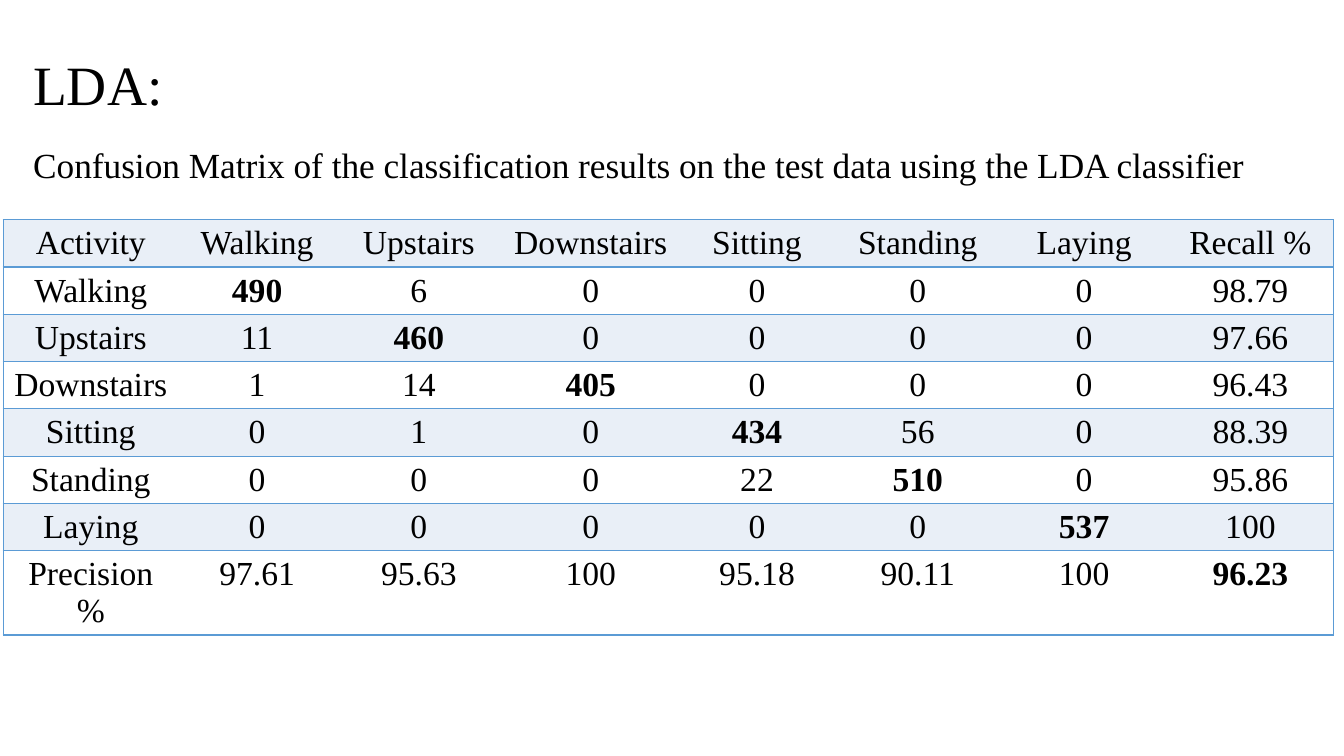
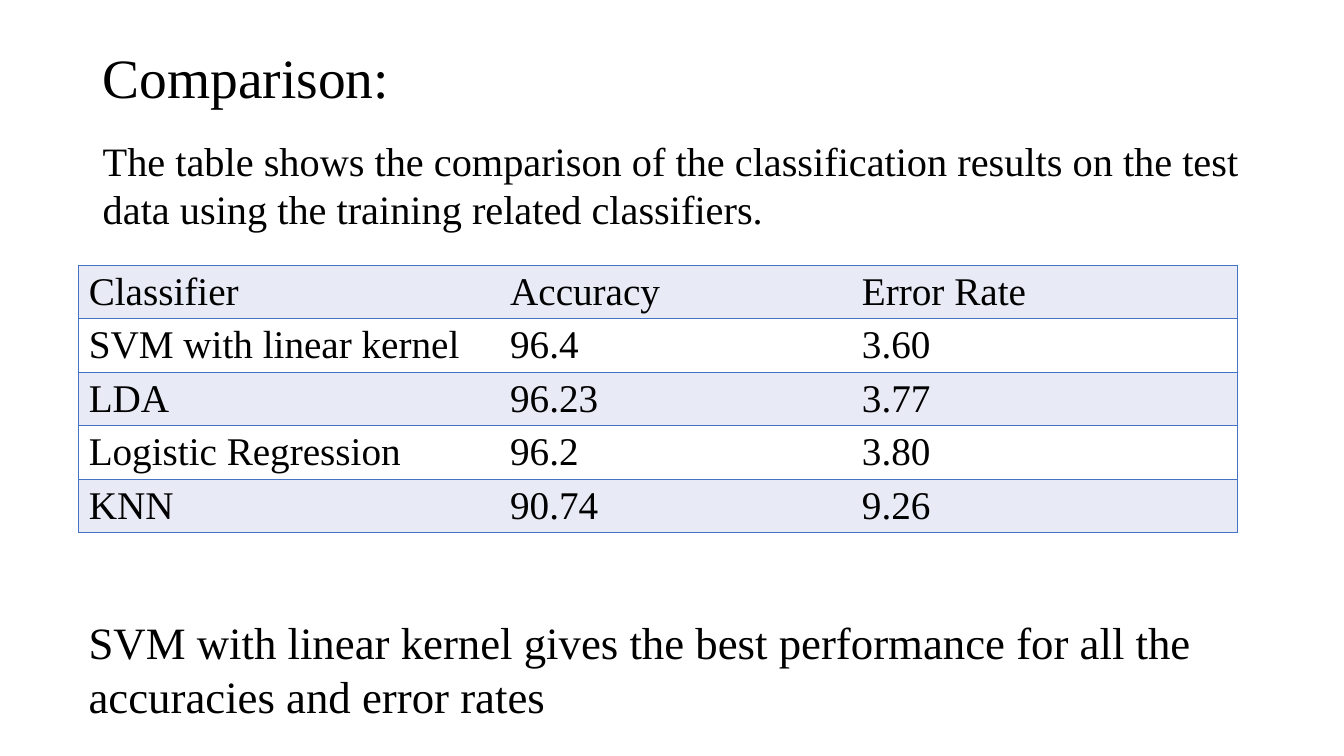
"""Build two slides with classifier results: a confusion matrix and a comparison."""
from dataclasses import dataclass

from lxml import etree
from pptx import Presentation
from pptx import util as u
from pptx.dml.color import RGBColor
from pptx.enum import text
from pptx.oxml import ns


@dataclass(frozen=True)
class Theme:
    """Colours and type sizes shared by the slides."""

    font: str = "Times New Roman"
    ink: str = "000000"
    paper: str = "FFFFFF"
    sky_line: str = "5B9BD5"
    sky_band: str = "E9EFF7"
    indigo_line: str = "4472C4"
    indigo_band: str = "E8EBF5"
    heading: float = 39.6
    matrix_caption: float = 25.2
    comparison_caption: float = 28.8
    matrix_cell: float = 24
    comparison_cell: float = 28
    conclusion: float = 32
    caption_gap: float = 19
    row_height: float = 30.24
    plain_table: str = "{2D5ABB26-0587-4C30-8999-92F81FD0307C}"


class Deck:
    """Hold the theme and the current slide, and add elements to it."""

    def __init__(self, theme):
        """Start a widescreen presentation."""
        self.theme = theme
        self.presentation = Presentation()
        self.presentation.slide_width = u.Pt(960)
        self.presentation.slide_height = u.Pt(540)
        self.slide = None

    def add_slide(self):
        """Make a new title-only slide current."""
        layout = self.presentation.slide_layouts.get_by_name("Title Only")
        self.slide = self.presentation.slides.add_slide(layout)

    def format(self, paragraph, size, bold=False, align=text.PP_ALIGN.LEFT):
        """Give a paragraph its alignment and its runs their font."""
        paragraph.alignment = align
        for run in paragraph.runs:
            run.font.name = self.theme.font
            run.font.size = u.Pt(size)
            run.font.bold = bold
            run.font.color.rgb = RGBColor.from_string(self.theme.ink)

    def title(self, heading, caption, caption_size, left, top, width, height):
        """Fill the title placeholder with a heading and a caption."""
        shape = self.slide.shapes.title
        shape.left, shape.top = u.Pt(left), u.Pt(top)
        shape.width, shape.height = u.Pt(width), u.Pt(height)
        frame = shape.text_frame
        frame.text = f"{heading}\n{caption}"
        frame.auto_size = text.MSO_AUTO_SIZE.NONE
        frame.vertical_anchor = text.MSO_ANCHOR.MIDDLE
        for paragraph, size in zip(frame.paragraphs, (self.theme.heading, caption_size)):
            self.format(paragraph, size)
            paragraph.line_spacing = 1.0
        frame.paragraphs[1].space_before = u.Pt(self.theme.caption_gap)

    def text_box(self, words, size, left, top, width, height):
        """Add a wrapped text box."""
        box = self.slide.shapes.add_textbox(u.Pt(left), u.Pt(top), u.Pt(width), u.Pt(height))
        box.text_frame.word_wrap = True
        box.text_frame.text = words
        self.format(box.text_frame.paragraphs[0], size)

    def border(self, cell, sides, colour):
        """Draw one-point lines on the given sides of a cell."""
        properties = cell._tc.get_or_add_tcPr()
        for position, side in enumerate(sides):
            line = etree.Element(ns.qn(f"a:ln{side}"), w=str(u.Pt(1)))
            fill = etree.SubElement(line, ns.qn("a:solidFill"))
            etree.SubElement(fill, ns.qn("a:srgbClr"), val=colour)
            properties.insert(position, line)

    def table(self, rows, widths, left, top, size, line, band,
              align=text.PP_ALIGN.LEFT, bold_diagonal=False):
        """Add a banded table with horizontal rules and an outer frame."""
        height = self.theme.row_height * len(rows)
        frame = self.slide.shapes.add_table(
            len(rows), len(widths), u.Pt(left), u.Pt(top), u.Pt(sum(widths)), u.Pt(height))
        table = frame.table
        table._tbl.tblPr.find(ns.qn("a:tableStyleId")).text = self.theme.plain_table
        for column, width in zip(table.columns, widths):
            column.width = u.Pt(width)
        last = len(widths) - 1
        for row_index, values in enumerate(rows):
            fill = self.theme.paper if row_index % 2 else band
            for column_index, value in enumerate(values):
                cell = table.cell(row_index, column_index)
                cell.text = value
                cell.fill.solid()
                cell.fill.fore_color.rgb = RGBColor.from_string(fill)
                bold = bold_diagonal and row_index == column_index > 0
                self.format(cell.text_frame.paragraphs[0], size, bold, align)
                sides = "L" * (column_index == 0) + "R" * (column_index == last) + "TB"
                self.border(cell, sides, line)


def confusion_matrix(deck):
    """Build the LDA confusion matrix slide."""
    theme = deck.theme
    activities = ["Walking", "Upstairs", "Downstairs", "Sitting", "Standing", "Laying"]
    results = [
        "490 6 0 0 0 0 98.79",
        "11 460 0 0 0 0 97.66",
        "1 14 405 0 0 0 96.43",
        "0 1 0 434 56 0 88.39",
        "0 0 0 22 510 0 95.86",
        "0 0 0 0 0 537 100",
        "97.61 95.63 100 95.18 90.11 100 96.23",
    ]
    rows = [["Activity", *activities, "Recall %"]]
    rows += [[label, *result.split()]
             for label, result in zip([*activities, "Precision %"], results)]
    deck.add_slide()
    deck.title("LDA:", "Confusion Matrix of the classification results on the test data "
               "using the LDA classifier", theme.matrix_caption, 16.5, 28.8, 921.6, 110.2)
    deck.table(rows, [125.3, 112.3, 118.8, 126.7, 110.9, 118.8, 118.8, 118.8], 2.2, 157,
               theme.matrix_cell, theme.sky_line, theme.sky_band,
               text.PP_ALIGN.CENTER, bold_diagonal=True)


def comparison(deck):
    """Build the classifier comparison slide."""
    theme = deck.theme
    rows = [
        ("Classifier", "Accuracy", "Error Rate"),
        ("SVM with linear kernel", "96.4", "3.60"),
        ("LDA", "96.23", "3.77"),
        ("Logistic Regression", "96.2", "3.80"),
        ("KNN", "90.74", "9.26"),
    ]
    deck.add_slide()
    deck.title("Comparison:", "The table shows the comparison of the classification results "
               "on the test data using the training related classifiers.",
               theme.comparison_caption, 66.2, 28.8, 828, 139.7)
    deck.table(rows, [301, 251.3, 275.7], 56.2, 189.4,
               theme.comparison_cell, theme.indigo_line, theme.indigo_band)
    deck.text_box("SVM with linear kernel gives the best performance for all the accuracies "
                  "and error rates", theme.conclusion, 56.2, 435.6, 828, 84.2)


def main():
    """Build and save the presentation."""
    deck = Deck(Theme())
    confusion_matrix(deck)
    comparison(deck)
    deck.presentation.save("out.pptx")


main()
